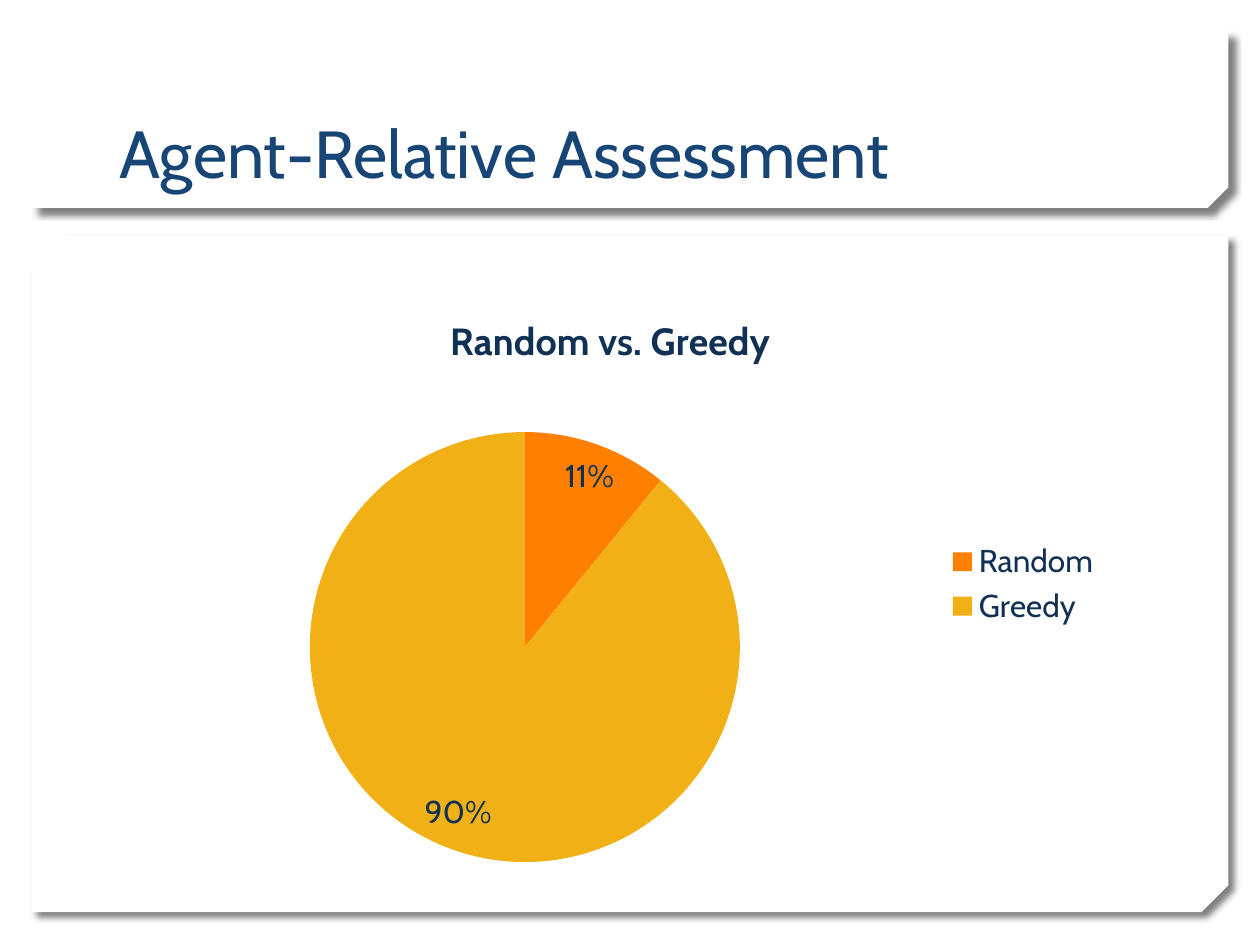
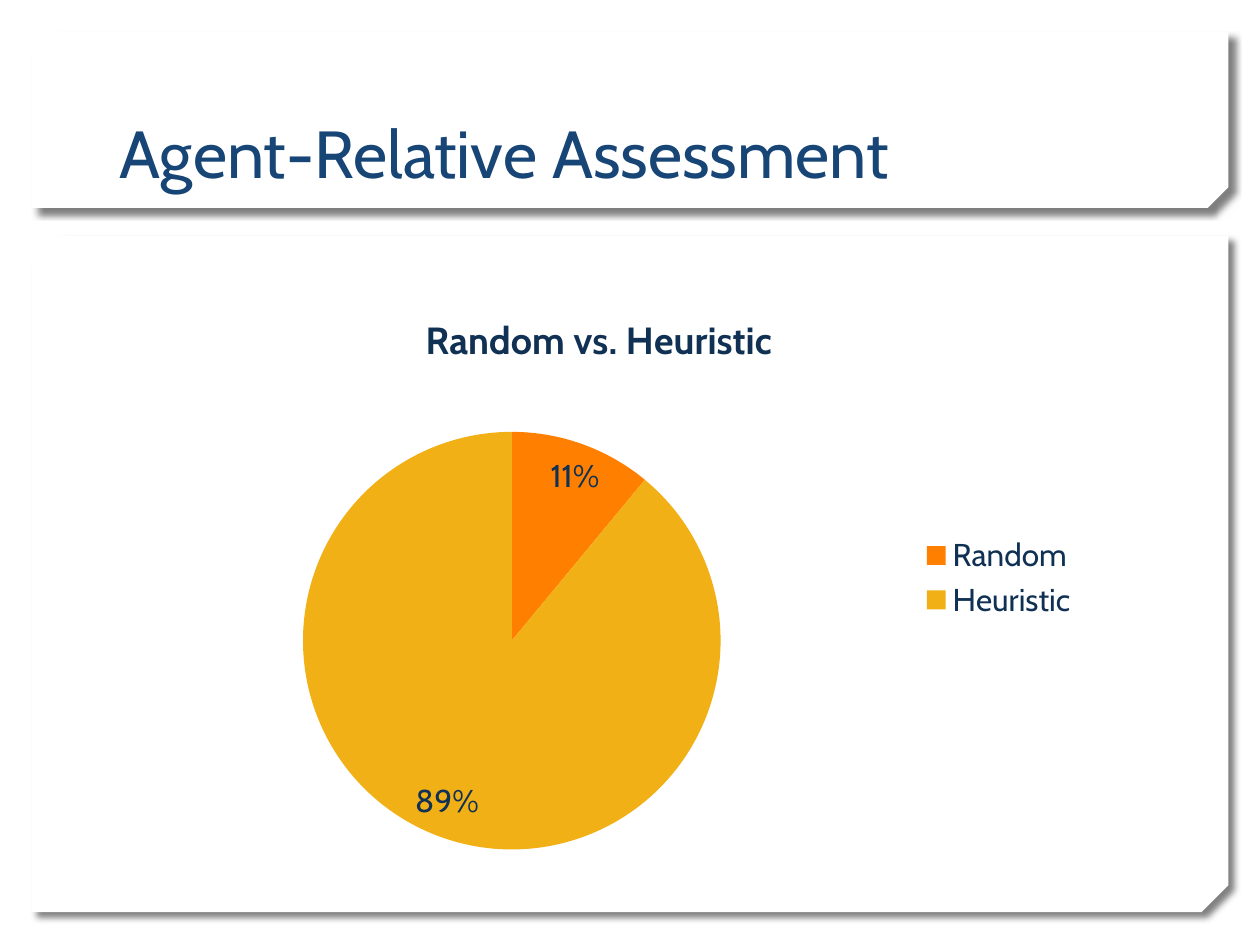
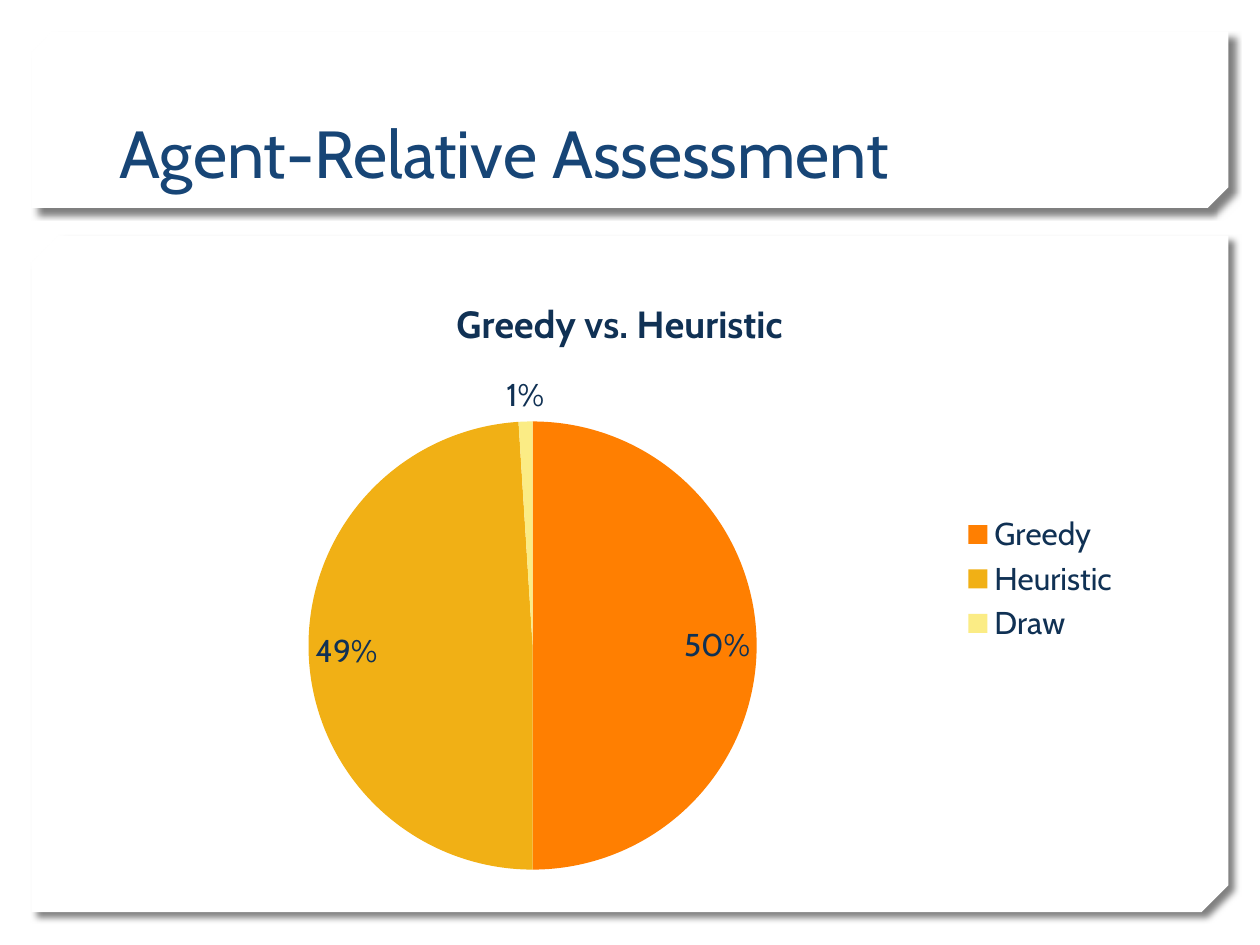
from lxml import etree
from pptx import Presentation
from pptx.chart.data import CategoryChartData
from pptx.dml.color import RGBColor
from pptx.enum.chart import XL_CHART_TYPE, XL_LABEL_POSITION, XL_LEGEND_POSITION
from pptx.enum.shapes import MSO_SHAPE
from pptx.enum.text import MSO_ANCHOR
from pptx.oxml import parse_xml
from pptx.oxml.ns import nsdecls, qn
from pptx.util import Inches, Pt

PIE = XL_CHART_TYPE.PIE
BEST_FIT = XL_LABEL_POSITION.BEST_FIT
RIGHT = XL_LEGEND_POSITION.RIGHT
SNIP = MSO_SHAPE.SNIP_2_DIAG_RECTANGLE
BOTTOM = MSO_ANCHOR.BOTTOM

FONT = "Cabin"
COLORS = {
    "paper": "FFFFFF",
    "title": "174576",
    "text": "103154",
    "shadow": "000000",
}
SLICES = ["FF7F01", "F1B015", "FBEC85"]

HEADING = "Agent-Relative Assessment"
PANELS = [((0.25, 1.87, 9.5, 5.37), 0.04), ((0.25, 0.25, 9.5, 1.4), 0.117)]
TITLE_BOX = (0.85, 0.32, 8.29, 1.25)
MATCHES = [
    ("Random vs. Greedy", {"Random": 11, "Greedy": 90}, (0.85, 2.29, 7.99, 4.69)),
    ("Random vs. Heuristic", {"Random": 11, "Heuristic": 89}, (0.85, 2.29, 7.81, 4.59)),
    ("Greedy vs. Heuristic", {"Greedy": 50, "Heuristic": 49, "Draw": 1},
     (0.85, 2.15, 8.14, 4.89)),
]


def inches(box):
    return [Inches(v) for v in box]


def set_font(font, size, color, bold=False):
    font.name = FONT
    font.size = Pt(size)
    font.bold = bold
    font.color.rgb = RGBColor.from_string(color)


def write(tf, text, **fmt):
    r = tf.paragraphs[0].add_run()
    r.text = text
    set_font(r.font, **fmt)


def add_shadow(sp, blur, dist, angle, alpha):
    sp.shadow.inherit = False
    effects = sp._element.spPr.find(qn("a:effectLst"))
    effects.append(parse_xml(
        f'<a:outerShdw {nsdecls("a")} blurRad="{Pt(blur)}" dist="{Pt(dist)}" '
        f'dir="{angle * 60000}" algn="tl" rotWithShape="0"/>'))
    color = etree.SubElement(effects[0], qn("a:srgbClr"), val=COLORS["shadow"])
    etree.SubElement(color, qn("a:alpha"), val=str(alpha * 1000))


def add_panel(slide, box, snip):
    sp = slide.shapes.add_shape(SNIP, *inches(box))
    sp.adjustments[0] = 0
    sp.adjustments[1] = snip
    sp._element.spPr.find(qn("a:xfrm")).set("flipV", "1")
    sp.fill.solid()
    sp.fill.fore_color.rgb = RGBColor.from_string(COLORS["paper"])
    sp.line.fill.background()
    add_shadow(sp, blur=4, dist=5, angle=45, alpha=50)


def add_title(slide, box, text):
    tf = slide.shapes.add_textbox(*inches(box)).text_frame
    tf.word_wrap = True
    tf.vertical_anchor = BOTTOM
    write(tf, text, size=38, color=COLORS["title"])


def add_pie(slide, box, title, shares):
    data = CategoryChartData()
    data.categories = list(shares)
    data.add_series("Series 1", list(shares.values()))
    chart = slide.shapes.add_chart(PIE, *inches(box), data).chart
    set_font(chart.font, 18, COLORS["text"])

    chart.has_title = True
    write(chart.chart_title.text_frame, title, size=21.6, color=COLORS["text"], bold=True)
    chart.chart_title.include_in_layout = False

    chart.has_legend = True
    chart.legend.position = RIGHT
    chart.legend.include_in_layout = False

    plot = chart.plots[0]
    plot.vary_by_categories = True
    for i in range(len(shares)):
        fill = plot.series[0].points[i].format.fill
        fill.solid()
        fill.fore_color.rgb = RGBColor.from_string(SLICES[i])

    plot.has_data_labels = True
    labels = plot.data_labels
    labels.show_value = True
    labels.show_percentage = False
    labels.number_format = '0"%"'
    labels.number_format_is_linked = False
    labels.position = BEST_FIT
    set_font(labels.font, 18, COLORS["text"])


def add_match_slide(prs, title, shares, box):
    slide = prs.slides.add_slide(prs.slide_layouts[6])
    for panel_box, snip in PANELS:
        add_panel(slide, panel_box, snip)
    add_title(slide, TITLE_BOX, HEADING)
    add_pie(slide, box, title, shares)


prs = Presentation()
prs.slide_width = Inches(10)
prs.slide_height = Inches(7.5)
for title, shares, box in MATCHES:
    add_match_slide(prs, title, shares, box)
prs.save("out.pptx")
